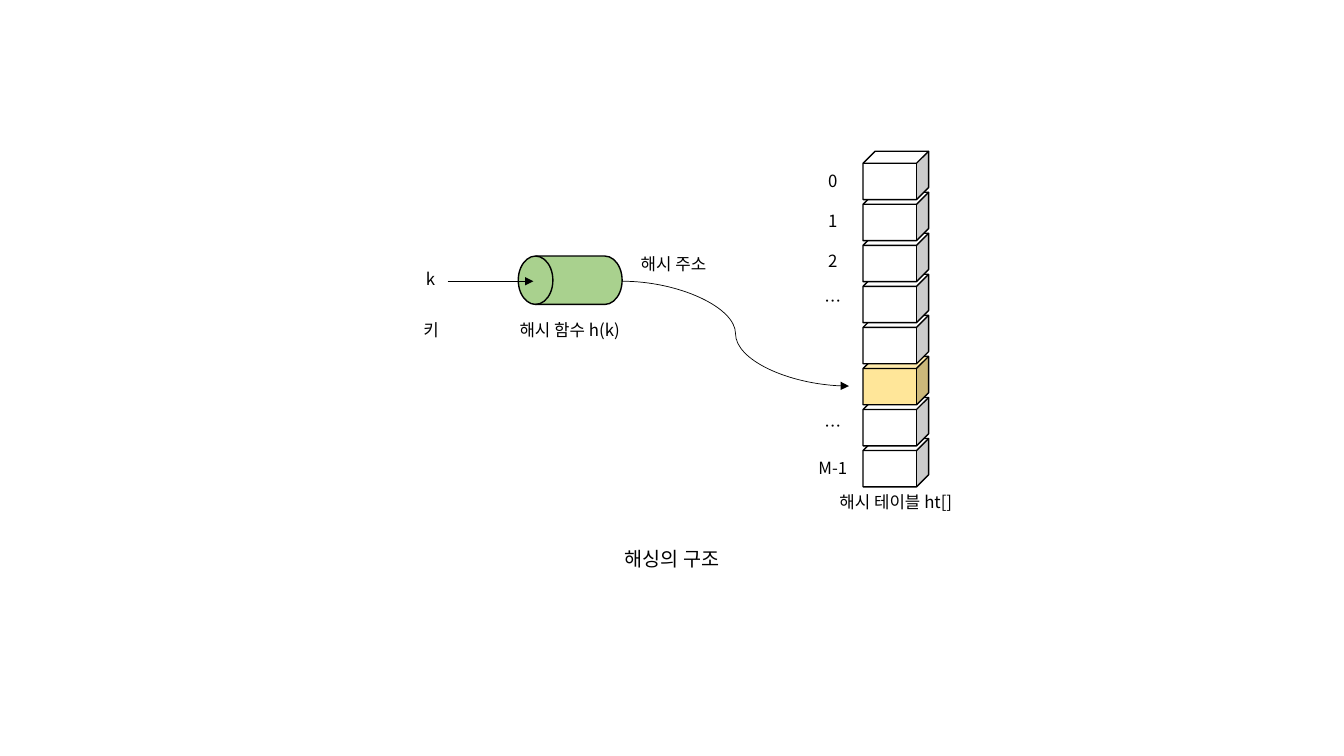
import pptx
import pptx.util
import pptx.dml.color
import pptx.enum.shapes
import pptx.enum.text
import pptx.oxml.ns
from lxml import etree

Inches = pptx.util.Inches
Shape = pptx.enum.shapes.MSO_SHAPE
Link = pptx.enum.shapes.MSO_CONNECTOR
COLORS = {"ink": "000000", "cell": "FFFFFF", "hit": "FFE699", "drum": "A9D18E"}


def tint(name):
    """Return the named colour."""
    return pptx.dml.color.RGBColor.from_string(COLORS[name])


def child(node, tag, **attrs):
    """Append a drawing element with its attributes."""
    return etree.SubElement(node, pptx.oxml.ns.qn(tag), **attrs)


class Board:
    """Hold the style and the current slide."""

    font = "Noto Sans CJK KR"

    def __init__(self, slide):
        """Keep the slide to draw on."""
        self.shapes = slide.shapes

    def solid(self, kind, left, top, width, height, fill):
        """Draw an outlined preset shape."""
        item = self.shapes.add_shape(
            kind, Inches(left), Inches(top), Inches(width), Inches(height))
        item.shadow.inherit = False
        item.fill.solid()
        item.fill.fore_color.rgb = tint(fill)
        item.line.color.rgb = tint("ink")
        item.line.width = pptx.util.Pt(1)
        return item

    def label(self, text, left, top, width, height=0.3, size=12):
        """Write one centred line of text."""
        box = self.shapes.add_textbox(
            Inches(left), Inches(top), Inches(width), Inches(height))
        frame = box.text_frame
        frame.word_wrap = True
        frame.auto_size = pptx.enum.text.MSO_AUTO_SIZE.SHAPE_TO_FIT_TEXT
        line = frame.paragraphs[0]
        line.alignment = pptx.enum.text.PP_ALIGN.CENTER
        run = line.add_run()
        run.text = text
        run.font.size = pptx.util.Pt(size)
        run.font.name = self.font
        run.font.color.rgb = tint("ink")
        child(run.font._element, "a:ea", typeface=self.font)

    def arrow(self, kind, x1, y1, x2, y2):
        """Draw a thin connector with an arrowhead at its end."""
        link = self.shapes.add_connector(
            kind, Inches(x1), Inches(y1), Inches(x2), Inches(y2))
        link.line.color.rgb = tint("ink")
        link.line.width = pptx.util.Pt(0.5)
        child(link.line._get_or_add_ln(), "a:tailEnd", type="triangle")
        child(link._element.spPr, "a:effectLst")


def table(board):
    """Stack the cells of the hash table and mark their indices."""
    count, hit, first, last = 8, 5, 1.5, 4.35
    step = (last - first) / (count - 1)
    for row in reversed(range(count)):
        fill = "hit" if row == hit else "cell"
        board.solid(Shape.CUBE, 8.56, first + row * step, 0.65, 0.48, fill)
    for row, text in enumerate(["0", "1", "2", "…"]):
        board.label(text, 7.97, 1.64 + 0.4 * row, 0.58)
    for text, top in [("…", 4.08), ("M-1", 4.49)]:
        board.label(text, 7.97, top, 0.58)
    board.label("해시 테이블 ht[]", 7.87, 4.83, 2.03)


def flow(board):
    """Lead the key through the hash function to its address."""
    drum = board.solid(
        Shape.FLOWCHART_DIRECT_ACCESS_STORAGE, 5.14, 2.54, 1.03, 0.48, "drum")
    drum.rotation = 180
    board.label("해시 함수 h(k)", 4.88, 3.12, 1.54)
    board.arrow(Link.STRAIGHT, 4.44, 2.79, 5.29, 2.79)
    board.label("k", 3.88, 2.62, 0.78)
    board.label("키", 3.55, 3.12, 1.45)
    board.arrow(Link.CURVE, 6.17, 2.79, 8.42, 3.83)
    board.label("해시 주소", 5.91, 2.47, 1.54)


def main():
    """Build and save the slide."""
    deck = pptx.Presentation()
    deck.slide_width, deck.slide_height = Inches(13.33), Inches(7.5)
    board = Board(deck.slides.add_slide(deck.slide_layouts[6]))
    table(board)
    flow(board)
    board.label("해싱의 구조", 5.65, 5.38, 2.03, 0.34, 14)
    deck.save("out.pptx")


main()
